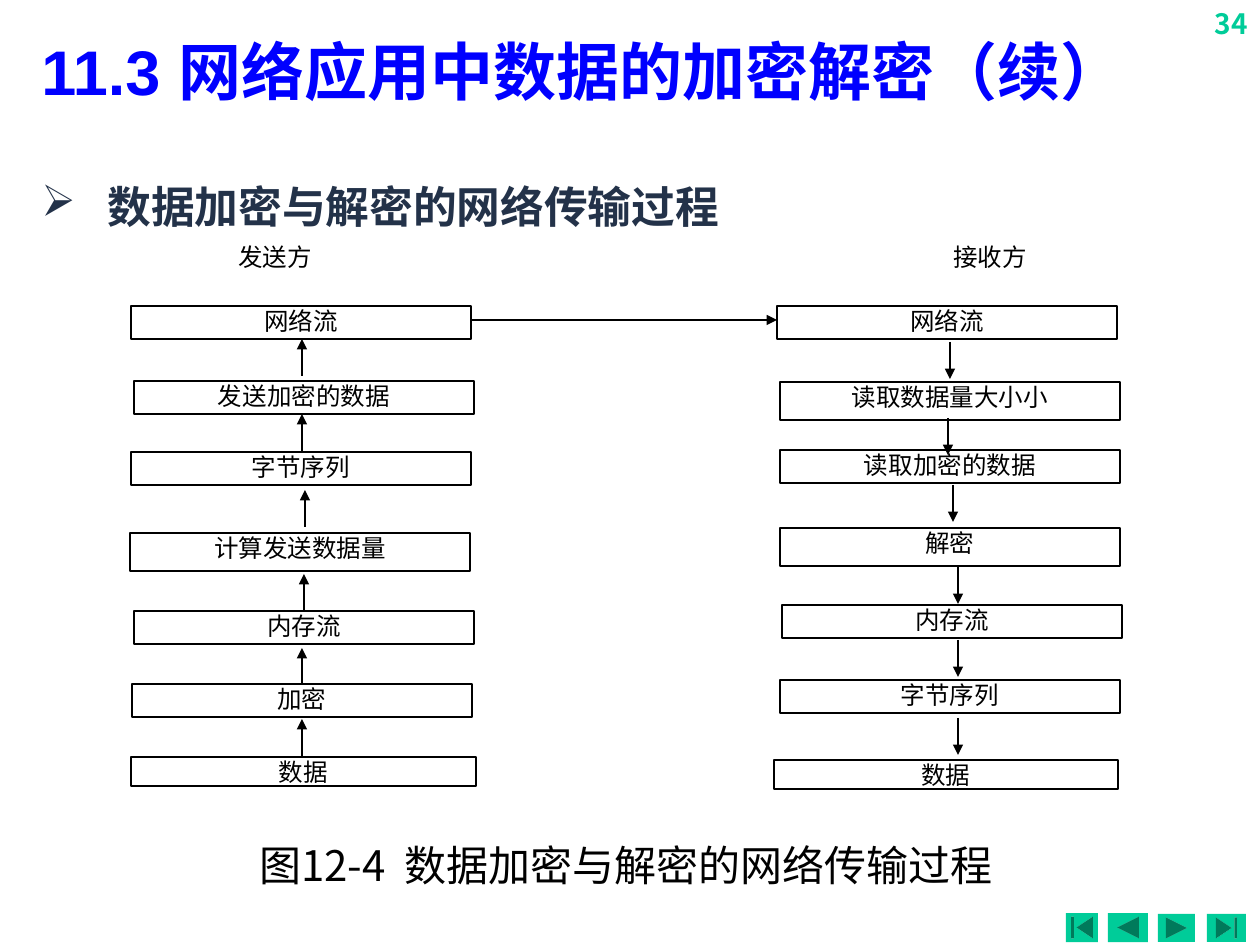
from dataclasses import dataclass

from lxml import etree
from pptx import Presentation
from pptx import util as u
from pptx.dml.color import RGBColor
from pptx.enum import shapes, text
from pptx.oxml.ns import qn

PX = 914400 / 126
BLACK, WHITE, BLUE, NAVY, GREEN = "000000", "FFFFFF", "0000FF", "233249", "00CC99"
CJK = "Noto Sans CJK SC"
ARROW_LENGTH = 37


@dataclass
class Label:
    content: str
    left: int
    top: int
    width: int
    height: int
    size: int = 14
    font: str = "Times New Roman"
    color: str = BLACK
    bold: bool = False
    align: text.PP_ALIGN = text.PP_ALIGN.CENTER
    anchor: text.MSO_ANCHOR = text.MSO_ANCHOR.TOP


@dataclass
class Step:
    content: str
    left: int
    top: int
    width: int = 340
    height: int = 33


@dataclass
class Arrow:
    x: int
    top: int


@dataclass
class Button:
    kind: shapes.MSO_SHAPE
    left: int
    top: int
    width: int
    height: int


def px(*lengths: int) -> list[u.Emu]:
    return [u.Emu(round(length * PX)) for length in lengths]


def rgb(color: str) -> RGBColor:
    return RGBColor.from_string(color)


def write(shape, label: Label):
    frame = shape.text_frame
    frame.word_wrap = True
    frame.vertical_anchor = label.anchor
    paragraph = frame.paragraphs[0]
    paragraph.text = label.content
    paragraph.alignment = label.align
    font = paragraph.font
    font.name, font.size, font.bold = label.font, u.Pt(label.size), label.bold
    font.color.rgb = rgb(label.color)
    defaults = paragraph._p.pPr.find(qn("a:defRPr"))
    etree.SubElement(defaults, qn("a:ea"), typeface=CJK)
    return paragraph


def draw_label(slide, label: Label):
    shape = slide.shapes.add_textbox(*px(label.left, label.top, label.width, label.height))
    return write(shape, label)


def add_bullet(paragraph, character: str, color: str, indent: int) -> None:
    properties = paragraph._p.pPr
    properties.set("marL", str(px(indent)[0]))
    properties.set("indent", str(px(-indent)[0]))
    defaults = properties.find(qn("a:defRPr"))
    bullet_color = etree.Element(qn("a:buClr"))
    etree.SubElement(bullet_color, qn("a:srgbClr"), val=color)
    defaults.addprevious(bullet_color)
    defaults.addprevious(etree.Element(qn("a:buChar"), char=character))


def draw_step(slide, step: Step) -> None:
    shape = slide.shapes.add_shape(
        shapes.MSO_SHAPE.RECTANGLE, *px(step.left, step.top, step.width, step.height))
    shape.shadow.inherit = False
    shape.fill.solid()
    shape.fill.fore_color.rgb = rgb(WHITE)
    shape.line.color.rgb = rgb(BLACK)
    shape.line.width = u.Pt(0.75)
    shape.text_frame.margin_top = shape.text_frame.margin_bottom = 0
    write(shape, Label(step.content, step.left, step.top, step.width, step.height))


def draw_arrow(slide, x1: int, y1: int, x2: int, y2: int) -> None:
    connector = slide.shapes.add_connector(shapes.MSO_CONNECTOR.STRAIGHT, *px(x1, y1, x2, y2))
    connector.line.color.rgb = rgb(BLACK)
    connector.line.width = u.Pt(0.75)
    etree.SubElement(connector.line._get_or_add_ln(), qn("a:tailEnd"), type="triangle")
    etree.SubElement(connector._element.spPr, qn("a:effectLst"))


def draw_button(slide, button: Button) -> None:
    shape = slide.shapes.add_shape(
        button.kind, *px(button.left, button.top, button.width, button.height))
    shape.shadow.inherit = False
    shape.fill.solid()
    shape.fill.fore_color.rgb = rgb(GREEN)
    shape.line.fill.background()


PAGE_NUMBER = Label("34", 1191, 0, 69, 50, 16, "Noto Sans CJK KR", GREEN, True,
                    text.PP_ALIGN.RIGHT)
TITLE = Label("11.3 网络应用中数据的加密解密（续）", 29, 24, 1200, 93, 36, "Arial", BLUE, True,
              text.PP_ALIGN.LEFT, text.MSO_ANCHOR.MIDDLE)
TOPIC = Label("数据加密与解密的网络传输过程", 29, 168, 1206, 96, 25, "Arial", NAVY, True,
              text.PP_ALIGN.LEFT)
CAPTION = Label("图12-4  数据加密与解密的网络传输过程", 126, 833, 1000, 53, 24, CJK)
PARTIES = [Label("发送方", 215, 236, 120, 49), Label("接收方", 930, 236, 120, 49)]

SENDER_STEPS = [
    Step("网络流", 131, 306),
    Step("发送加密的数据", 134, 381),
    Step("字节序列", 131, 452),
    Step("计算发送数据量", 130, 533, height=38),
    Step("内存流", 134, 611),
    Step("加密", 132, 684),
    Step("数据", 131, 757, 345, 29),
]
RECEIVER_STEPS = [
    Step("网络流", 777, 306),
    Step("读取数据量大小小", 780, 382, height=38),
    Step("读取加密的数据", 780, 450),
    Step("解密", 780, 528, height=38),
    Step("内存流", 782, 605),
    Step("字节序列", 780, 680),
    Step("数据", 774, 760, 344, 29),
]
SENDER_ARROWS = [Arrow(302, 339), Arrow(302, 414), Arrow(305, 490),
                 Arrow(304, 574), Arrow(302, 648), Arrow(302, 719)]
RECEIVER_ARROWS = [Arrow(950, 342), Arrow(948, 418), Arrow(953, 485),
                   Arrow(958, 567), Arrow(958, 640), Arrow(958, 718)]
BUTTONS = [
    Button(shapes.MSO_SHAPE.ACTION_BUTTON_BEGINNING, 1066, 913, 32, 29),
    Button(shapes.MSO_SHAPE.ACTION_BUTTON_BACK_OR_PREVIOUS, 1108, 913, 40, 29),
    Button(shapes.MSO_SHAPE.ACTION_BUTTON_FORWARD_OR_NEXT, 1158, 914, 37, 28),
    Button(shapes.MSO_SHAPE.ACTION_BUTTON_END, 1207, 914, 39, 28),
]


def main() -> None:
    presentation = Presentation()
    presentation.slide_width, presentation.slide_height = px(1260, 945)
    slide = presentation.slides.add_slide(presentation.slide_layouts[6])

    for button in BUTTONS:
        draw_button(slide, button)
    for label in [PAGE_NUMBER, TITLE, CAPTION, *PARTIES]:
        draw_label(slide, label)
    topic = draw_label(slide, TOPIC)
    topic.line_spacing = 1.1
    add_bullet(topic, "➢", NAVY, 66)

    for step in SENDER_STEPS + RECEIVER_STEPS:
        draw_step(slide, step)
    for arrow in SENDER_ARROWS:
        draw_arrow(slide, arrow.x, arrow.top + ARROW_LENGTH, arrow.x, arrow.top)
    for arrow in RECEIVER_ARROWS:
        draw_arrow(slide, arrow.x, arrow.top, arrow.x, arrow.top + ARROW_LENGTH)
    draw_arrow(slide, 472, 320, 777, 320)

    presentation.save("out.pptx")


if __name__ == "__main__":
    main()
